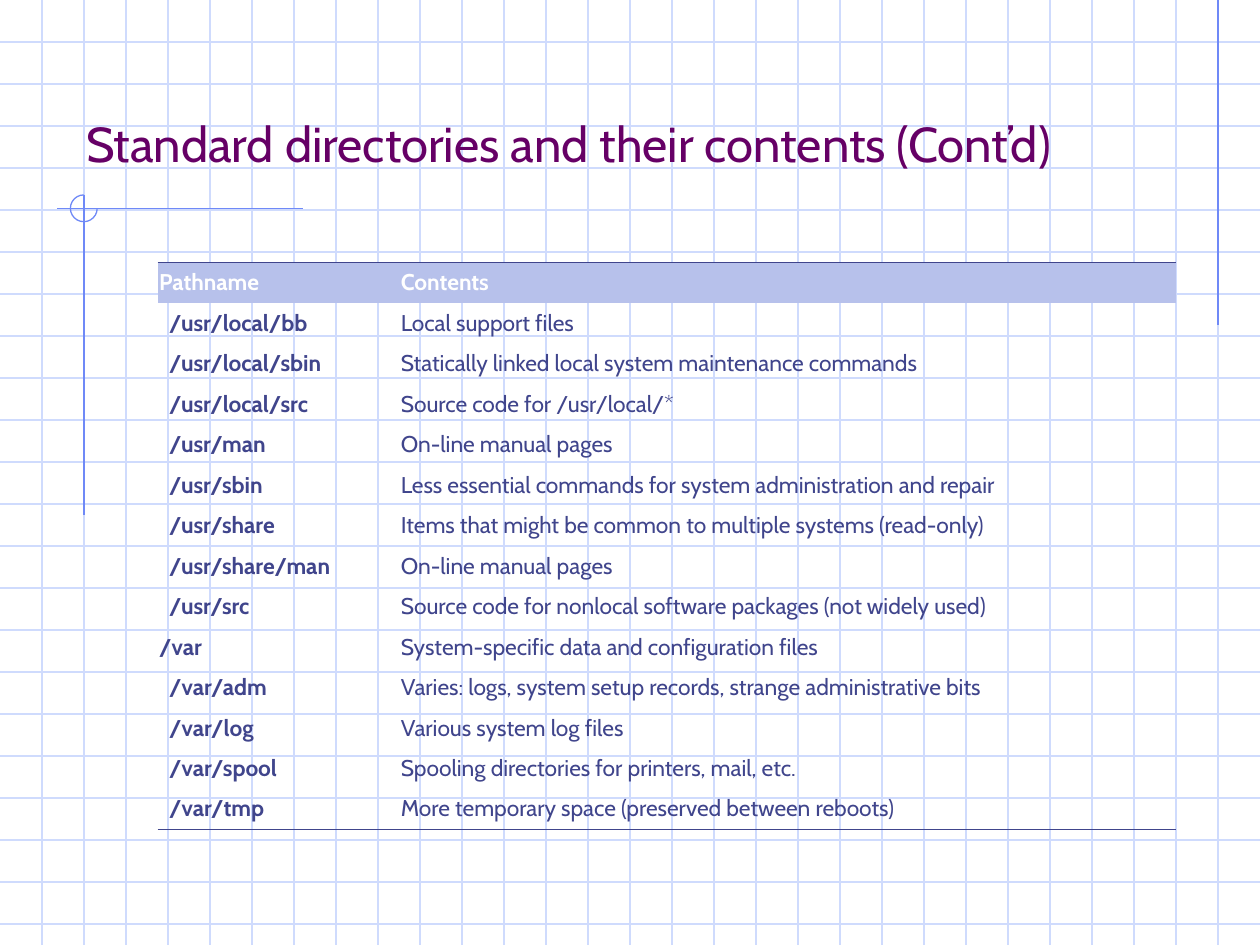
import pptx
import pptx.dml.color
import pptx.enum.shapes
import pptx.enum.text
import pptx.oxml
import pptx.oxml.ns
import pptx.util

Cm = pptx.util.Cm
Pt = pptx.util.Pt
WIDE, HIGH = 25.4, 19.05
STEP = WIDE / 30
COLORS = {"grid": "CFDBFD", "mark": "6F89F7", "title": "660066",
          "head": "B7C1EB", "ink": "40458C", "white": "FFFFFF"}
PLAIN = "{2D5ABB26-0587-4C30-8999-92F81FD0307C}"
HEAD = ("Pathname", "Contents")
ROWS = [
    ("/usr/local/bb", "Local support files"),
    ("/usr/local/sbin", "Statically linked local system maintenance commands"),
    ("/usr/local/src", "Source code for /usr/local/*"),
    ("/usr/man", "On-line manual pages"),
    ("/usr/sbin", "Less essential commands for system administration and repair"),
    ("/usr/share", "Items that might be common to multiple systems (read-only)"),
    ("/usr/share/man", "On-line manual pages"),
    ("/usr/src", "Source code for nonlocal software packages (not widely used)"),
    ("/var", "System-specific data and configuration files"),
    ("/var/adm", "Varies: logs, system setup records, strange administrative bits"),
    ("/var/log", "Various system log files"),
    ("/var/spool", "Spooling directories for printers, mail, etc."),
    ("/var/tmp", "More temporary space (preserved between reboots)"),
]


def color(name):
    """Return the named colour."""
    return pptx.dml.color.RGBColor.from_string(COLORS[name])


def write(frame, text, size=13, ink="ink", bold=False, font="Cabin"):
    """Put one left-aligned, formatted run into a text frame."""
    par = frame.paragraphs[0]
    par.alignment = pptx.enum.text.PP_ALIGN.LEFT
    run = par.add_run()
    run.text = text
    run.font.name, run.font.size, run.font.bold = font, Pt(size), bold
    run.font.color.rgb = color(ink)


def border(cell, side, ink="ink", width=0.45):
    """Draw one edge (T or B) of a table cell."""
    line = pptx.oxml.parse_xml(
        f'<a:ln{side} {pptx.oxml.ns.nsdecls("a")} w="{Pt(width)}"><a:solidFill>'
        f'<a:srgbClr val="{COLORS[ink]}"/></a:solidFill></a:ln{side}>')
    cell._tc.get_or_add_tcPr().insert(0, line)


class Page:
    """Holds the line style and the current slide."""

    def __init__(self, slide, weight=0.74):
        """Keep the slide and its line weight."""
        self.slide, self.shapes, self.weight = slide, slide.shapes, weight

    def line(self, x1, y1, x2, y2, ink):
        """Draw a straight line."""
        kind = pptx.enum.shapes.MSO_CONNECTOR.STRAIGHT
        line = self.shapes.add_connector(kind, Cm(x1), Cm(y1), Cm(x2), Cm(y2))
        line.line.color.rgb = color(ink)
        line.line.width = Pt(self.weight)
        line.element.spPr.append(pptx.oxml.parse_xml(
            f'<a:effectLst {pptx.oxml.ns.nsdecls("a")}/>'))

    def arc(self, x, y, size, ink):
        """Draw three quarters of a circle, open at the top right."""
        kind = pptx.enum.shapes.MSO_SHAPE.ARC
        arc = self.shapes.add_shape(kind, Cm(x), Cm(y), Cm(size), Cm(size))
        arc.adjustments[0], arc.adjustments[1] = 0, 162
        arc.shadow.inherit = False
        arc.fill.background()
        arc.line.color.rgb = color(ink)
        arc.line.width = Pt(self.weight)

    def title(self, text, x, y, w, h):
        """Fill the title placeholder and bring it above the grid."""
        title = self.shapes.title
        title.left, title.top, title.width, title.height = map(Cm, (x, y, w, h))
        frame = title.text_frame
        frame.auto_size = pptx.enum.text.MSO_AUTO_SIZE.NONE
        frame.vertical_anchor = pptx.enum.text.MSO_ANCHOR.BOTTOM
        frame.word_wrap = True
        write(frame, text, size=28, ink="title")
        title.element.getparent().append(title.element)

    def table(self, rows, x, y, widths, step):
        """Build the table: first row is the header, first column is bold."""
        count = len(rows)
        frame = self.shapes.add_table(count, len(widths), Cm(x), Cm(y),
                                      Cm(sum(widths)), Cm(step * count))
        table = frame.table
        table.horz_banding = False
        table._tbl.tblPr.find(pptx.oxml.ns.qn("a:tableStyleId")).text = PLAIN
        for col, width in zip(table.columns, widths):
            col.width = Cm(width)
        for r, row in enumerate(rows):
            for c, text in enumerate(row):
                self.cell(table.cell(r, c), text, r == 0, c == 0)
                if r == 0:
                    border(table.cell(r, c), "T")
                elif r == count - 1:
                    border(table.cell(r, c), "B")

    def cell(self, cell, text, head, key):
        """Format one cell; paths below a top directory are indented."""
        cell.margin_left = Cm(0.23 if key and text.count("/") > 1 else 0.03)
        cell.margin_right = Cm(0.03)
        cell.margin_top = cell.margin_bottom = Cm(0.13)
        cell.vertical_anchor = pptx.enum.text.MSO_ANCHOR.MIDDLE
        if head:
            cell.fill.solid()
            cell.fill.fore_color.rgb = color("head")
        else:
            cell.fill.background()
        write(cell.text_frame, text, ink="white" if head else "ink",
              bold=head or key)


def main():
    """Build and save the slide."""
    deck = pptx.Presentation()
    deck.slide_width, deck.slide_height = Cm(WIDE), Cm(HIGH)
    page = Page(deck.slides.add_slide(deck.slide_layouts[5]))
    for i in range(1, 23):
        page.line(0, i * STEP, WIDE, i * STEP, "grid")
    for i in range(1, 30):
        page.line(i * STEP, 0, i * STEP, HIGH, "grid")
    page.line(29 * STEP, 0, 29 * STEP, 6.56, "mark")
    page.line(6.1, 4.2, 1.15, 4.2, "mark")
    page.line(2 * STEP, 3.93, 2 * STEP, 10.39, "mark")
    page.arc(1.42, 3.93, 0.54, "mark")
    page.title("Standard directories and their contents (Cont’d)",
               1.48, 2.12, 21.59, 1.48)
    page.table([HEAD] + ROWS, 3.18, 5.29, (4.87, 15.66), 0.78)
    deck.save("out.pptx")


main()
